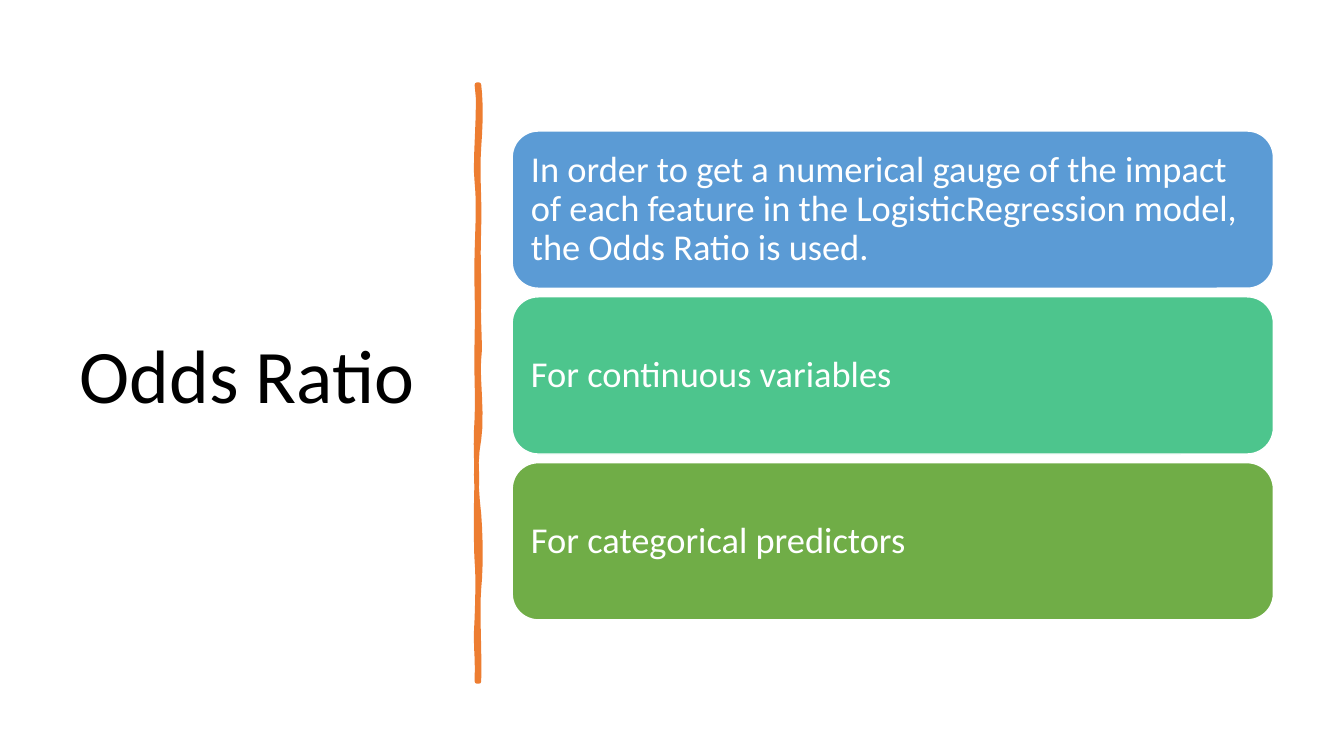
from dataclasses import dataclass

from lxml.etree import SubElement
from pptx import Presentation
from pptx.dml.color import RGBColor
from pptx.enum.shapes import MSO_SHAPE
from pptx.enum.text import MSO_ANCHOR, MSO_AUTO_SIZE, PP_ALIGN
from pptx.oxml.ns import qn
from pptx.shapes.autoshape import Shape
from pptx.slide import Slide
from pptx.text.text import TextFrame
from pptx.util import Inches, Pt


@dataclass(frozen=True)
class Theme:
    font: str = "Calibri"
    title: int = 54
    body: int = 26
    dark: str = "000000"
    light: str = "FFFFFF"
    accent: str = "ED7D31"
    edge: float = 1
    stroke: float = 3.25


@dataclass(frozen=True)
class Card:
    text: str
    fill: str


THEME = Theme()
CARDS = [
    Card("In order to get a numerical gauge of the impact of each feature "
         "in the LogisticRegression model, the Odds Ratio is used.", "5B9BD5"),
    Card("For continuous variables", "4DC58D"),
    Card("For categorical predictors", "70AD47"),
]
LEFT, TOP, WIDTH, HEIGHT, BOTTOM = 5.08, 1.3, 7.55, 1.56, 6.15

# Each curve of the hand-drawn rule: two control points, then its end point
START = (4.75, 0.84)
CURVES = [
    (4.77, 1.02, 4.77, 1.19, 4.75, 1.46), (4.73, 1.73, 4.76, 1.95, 4.75, 2.26),
    (4.74, 2.57, 4.75, 2.62, 4.75, 2.94), (4.74, 3.25, 4.77, 3.42, 4.75, 3.56),
    (4.73, 3.7, 4.79, 4.14, 4.75, 4.36), (4.71, 4.57, 4.72, 4.84, 4.75, 5.1),
    (4.77, 5.36, 4.77, 5.64, 4.75, 5.84), (4.73, 6.03, 4.76, 6.5, 4.75, 6.76),
    (4.74, 6.76, 4.73, 6.76, 4.73, 6.76), (4.74, 6.46, 4.71, 6.44, 4.73, 6.13),
    (4.74, 5.83, 4.74, 5.7, 4.73, 5.57), (4.72, 5.44, 4.72, 4.95, 4.73, 4.77),
    (4.73, 4.59, 4.71, 4.45, 4.73, 4.15), (4.74, 3.86, 4.72, 3.73, 4.73, 3.35),
    (4.74, 2.98, 4.72, 2.81, 4.73, 2.5), (4.74, 2.18, 4.75, 2, 4.73, 1.81),
    (4.7, 1.63, 4.77, 1.04, 4.73, 0.84),
]


def write(frame: TextFrame, text: str, size: int, color: str, inset: float) -> None:
    frame.text = text
    side = Inches(inset)
    form = {"word_wrap": True, "auto_size": MSO_AUTO_SIZE.NONE,
            "vertical_anchor": MSO_ANCHOR.MIDDLE, "margin_left": side,
            "margin_right": side, "margin_top": side, "margin_bottom": side}
    for name, value in form.items():
        setattr(frame, name, value)
    para = frame.paragraphs[0]
    para.alignment, para.line_spacing = PP_ALIGN.LEFT, 0.9
    font = para.runs[0].font
    for name, value in {"name": THEME.font, "size": Pt(size)}.items():
        setattr(font, name, value)
    font.color.rgb = RGBColor.from_string(color)


def paint(shape: Shape, fill: str, line: str, width: float) -> None:
    shape.shadow.inherit = False
    shape.fill.solid()
    shape.fill.fore_color.rgb = RGBColor.from_string(fill)
    shape.line.color.rgb = RGBColor.from_string(line)
    shape.line.width = Pt(width)


def trace(steps: int = 6) -> list[tuple[int, int]]:
    """Sample the cubic curves into points along the outline."""
    points, last = [], START
    for curve in CURVES:
        knots = [last, curve[:2], curve[2:4], curve[4:]]
        for step in range(1, steps + 1):
            t = step / steps
            parts = ((1 - t) ** 3, 3 * t * (1 - t) ** 2, 3 * t * t * (1 - t), t ** 3)
            x, y = (sum(w * k[axis] for w, k in zip(parts, knots)) for axis in (0, 1))
            points.append((Inches(x), Inches(y)))
        last = curve[4:]
    return points


def draw_rule(slide: Slide) -> None:
    pen = slide.shapes.build_freeform(*map(Inches, START))
    pen.add_line_segments(trace(), close=True)
    rule = pen.convert_to_shape()
    paint(rule, THEME.accent, THEME.accent, THEME.stroke)
    SubElement(rule.line.fill._xPr, qn("a:round"))


def draw_card(slide: Slide, card: Card, top: float) -> None:
    box = slide.shapes.add_shape(MSO_SHAPE.ROUNDED_RECTANGLE, Inches(LEFT),
                                 Inches(top), Inches(WIDTH), Inches(HEIGHT))
    paint(box, card.fill, THEME.light, THEME.edge)
    write(box.text_frame, card.text, THEME.body, THEME.light, 0.11)


def main() -> None:
    deck = Presentation()
    deck.slide_width, deck.slide_height = Inches(13.33), Inches(7.5)
    slide = deck.slides.add_slide(deck.slide_layouts[5])
    title = slide.shapes.title
    place = {"left": 0.69, "top": 0.7, "width": 3.74, "height": 6.11}
    for name, value in place.items():
        setattr(title, name, Inches(value))
    write(title.text_frame, "Odds Ratio", THEME.title, THEME.dark, 0.1)
    draw_rule(slide)
    pitch = (BOTTOM - TOP - HEIGHT) / (len(CARDS) - 1)
    for row, card in enumerate(CARDS):
        draw_card(slide, card, TOP + row * pitch)
    deck.save("out.pptx")


if __name__ == "__main__":
    main()
